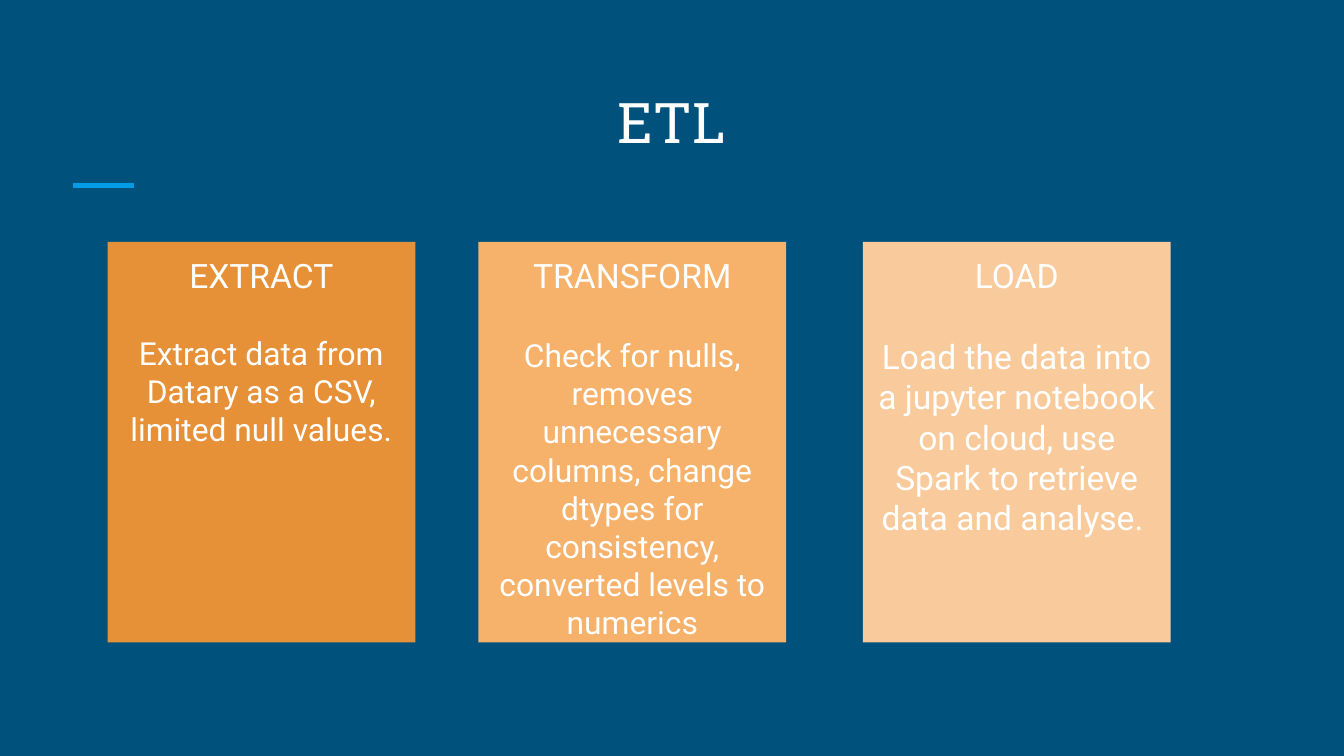
from dataclasses import dataclass

from lxml import etree
from pptx import Presentation
from pptx.dml.color import RGBColor
from pptx.enum import shapes, text
from pptx.oxml import ns
from pptx.util import Inches, Pt


@dataclass(frozen=True)
class Theme:
    back: str = "00517C"
    rule: str = "039BE5"
    ink: str = "FFFFFF"
    head: str = "Roboto Slab"
    body: str = "Roboto"
    title: int = 30
    label: int = 18
    small: int = 17


THEME = Theme()

# label, fill, text, text size, gap above the text
CARDS = [
    ("EXTRACT", "E69138",
     "Extract data from Datary as a CSV, limited null values.",
     THEME.small, 20.4),
    ("TRANSFORM", "F6B26B",
     "Check for nulls, removes unnecessary columns, change dtypes for "
     "consistency, converted levels to numerics",
     THEME.small, 21.6),
    ("LOAD", "F9CB9C",
     "Load the data into a jupyter notebook on cloud, use Spark to retrieve "
     "data and analyse. ",
     THEME.label, 21.6),
]


def color(code):
    return RGBColor.from_string(code)


def write(para, words, size, font=THEME.body, ink=THEME.ink, gap=0):
    para.alignment = text.PP_ALIGN.CENTER
    if gap:
        para.space_before = Pt(gap)
    run = para.add_run()
    run.text = words
    run.font.size = Pt(size)
    run.font.name = font
    run.font.color.rgb = color(ink)


def frame(shape, anchor):
    """Set wrap, insets and anchor; return the text frame."""
    body = shape.text_frame
    body.word_wrap = True
    body.vertical_anchor = anchor
    body.margin_left = body.margin_right = Inches(0.1)
    body.margin_top = body.margin_bottom = Inches(0.1)
    return body


def add_title(slide, left, top, width, height):
    """Place the title and the short accent rule below it."""
    box = slide.shapes.add_textbox(
        Inches(left), Inches(top), Inches(width), Inches(height))
    body = frame(box, text.MSO_ANCHOR.BOTTOM)
    write(body.paragraphs[0], "ETL", THEME.title, font=THEME.head)

    start, y = left + 0.12, top + height + 0.13
    rule = slide.shapes.add_connector(
        shapes.MSO_CONNECTOR.STRAIGHT,
        Inches(start), Inches(y), Inches(start + 0.46), Inches(y))
    rule.line.color.rgb = color(THEME.rule)
    rule.line.width = Pt(3)
    etree.SubElement(rule._element.spPr, ns.qn("a:effectLst"))


def add_card(slide, left, top, width, height, card):
    label, fill, words, size, gap = card
    shape = slide.shapes.add_shape(
        shapes.MSO_SHAPE.RECTANGLE,
        Inches(left), Inches(top), Inches(width), Inches(height))
    shape.shadow.inherit = False
    shape.fill.solid()
    shape.fill.fore_color.rgb = color(fill)
    shape.line.fill.background()
    body = frame(shape, text.MSO_ANCHOR.TOP)
    write(body.paragraphs[0], label, THEME.label)
    write(body.add_paragraph(), words, size, gap=gap)


def main():
    deck = Presentation()
    deck.slide_width = Inches(10)
    deck.slide_height = deck.slide_width * 9 // 16
    slide = deck.slides.add_slide(deck.slide_layouts[6])
    slide.background.fill.solid()
    slide.background.fill.fore_color.rgb = color(THEME.back)

    add_title(slide, 0.42, 0.5, 9.15, 0.75)
    for left, card in zip((0.8, 3.56, 6.42), CARDS):
        add_card(slide, left, 1.8, 2.29, 2.98, card)
    deck.save("out.pptx")


if __name__ == "__main__":
    main()
